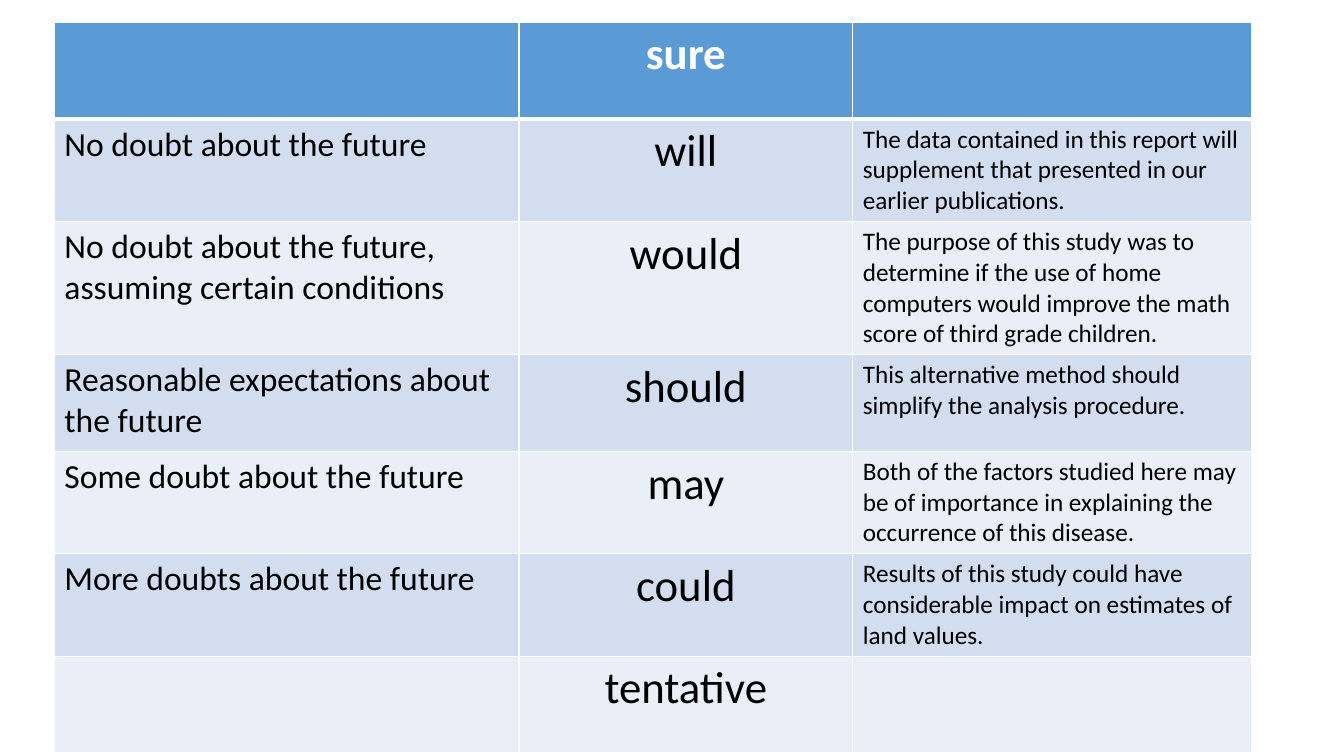
import pptx
import pptx.util
import pptx.oxml
import pptx.dml.color
import pptx.enum.text

Cm, Pt = pptx.util.Cm, pptx.util.Pt
RGB = pptx.dml.color.RGBColor
ALIGN = pptx.enum.text.PP_ALIGN

# Content: meaning, modal verb, example
ROWS = [
    ("", "sure", ""),
    ("No doubt about the future", "will",
     "The data contained in this report will supplement that presented "
     "in our earlier publications."),
    ("No doubt about the future, assuming certain conditions", "would",
     "The purpose of this study was to determine if the use of home "
     "computers would improve the math score of third grade children."),
    ("Reasonable expectations about the future", "should",
     "This alternative method should simplify the analysis procedure."),
    ("Some doubt about the future", "may",
     "Both of the factors studied here may be of importance in explaining "
     "the occurrence of this disease."),
    ("More doubts about the future", "could",
     "Results of this study could have considerable impact on estimates "
     "of land values."),
    ("", "tentative", ""),
]

# Colours and formats
WHITE, BLACK = RGB(0xFF, 0xFF, 0xFF), RGB(0, 0, 0)
HEAD = RGB(0x5B, 0x9B, 0xD5)
BANDS = [RGB(0xEA, 0xEF, 0xF7), RGB(0xD2, 0xDE, 0xEF)]
WIDTHS = [Cm(11.71), Cm(8.41), Cm(10.06)]
HIGH, TALL = Cm(2.44), Cm(3.15)
SIZES = [Pt(24), Pt(32), Pt(18)]
SIDES = [ALIGN.LEFT, ALIGN.CENTER, ALIGN.LEFT]
THIN, THICK = Pt(1), Pt(3)


def edge(cell, side, width):
    """Add one white border line to a cell."""
    space = "http://schemas.openxmlformats.org/drawingml/2006/main"
    line = pptx.oxml.parse_xml(
        f'<a:ln{side} xmlns:a="{space}" w="{width}"><a:solidFill>'
        f'<a:srgbClr val="{WHITE}"/></a:solidFill></a:ln{side}>')
    cell._tc.get_or_add_tcPr().append(line)


# Slide
deck = pptx.Presentation()
deck.slide_width, deck.slide_height = Cm(33.87), Cm(19.05)
slide = deck.slides.add_slide(deck.slide_layouts[6])

# Table grid
highs = [TALL if row[1] == "would" else HIGH for row in ROWS]
grid = slide.shapes.add_table(len(ROWS), len(WIDTHS), Cm(1.37), Cm(0.56),
                              sum(WIDTHS), sum(highs)).table
for col, width in zip(grid.columns, WIDTHS):
    col.width = width
for row, high in zip(grid.rows, highs):
    row.height = high

# Cells
for r, texts in enumerate(ROWS):
    top = r == 0
    edges = {"L": THIN, "R": THIN, "T": THICK if r == 1 else THIN,
             "B": THICK if top else THIN}
    for c, text in enumerate(texts):
        cell = grid.cell(r, c)
        for side, width in edges.items():
            edge(cell, side, width)
        cell.fill.solid()
        cell.fill.fore_color.rgb = HEAD if top else BANDS[r % 2]
        if not text:
            continue
        para = cell.text_frame.paragraphs[0]
        para.alignment = SIDES[c]
        run = para.add_run()
        run.text = text
        style = {"name": "Calibri", "size": SIZES[c], "bold": top}
        for key, value in style.items():
            setattr(run.font, key, value)
        run.font.color.rgb = WHITE if top else BLACK

deck.save("out.pptx")
